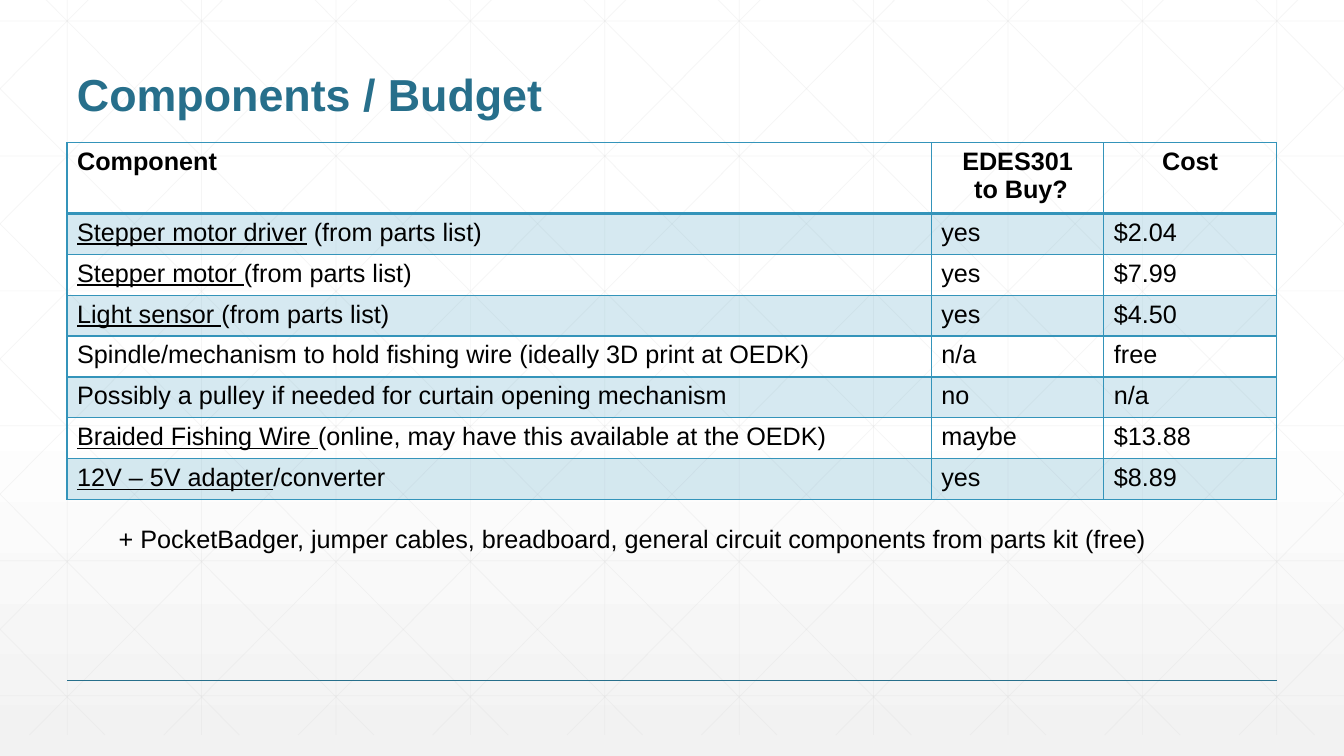
import dataclasses
import typing

import lxml.etree
import pptx
import pptx.dml.color
import pptx.enum.shapes
import pptx.enum.text
import pptx.oxml.ns
import pptx.util

Cm = pptx.util.Cm
Pt = pptx.util.Pt
qn = pptx.oxml.ns.qn
Point = tuple[float, float]


@dataclasses.dataclass(frozen=True)
class Theme:
    font: str = "Arial"
    title_size: float = 32
    body_size: float = 18
    title: str = "276F8B"
    accent: str = "3494BA"
    text: str = "000000"
    grid: str = "D9D9D9"
    background_top: str = "FFFFFF"
    background_bottom: str = "F2F2F2"
    grid_opacity: int = 25
    band_opacity: int = 20


@dataclasses.dataclass(frozen=True)
class Component:
    underlined: str
    plain: str
    to_buy: str
    cost: str


THEME = Theme()
WIDTH, HEIGHT = 33.87, 19.05
LEFT, CONTENT_WIDTH = 1.69, 30.48

GRID_COLUMNS = 10
GRID_STEP = WIDTH / GRID_COLUMNS
GRID_TOP, GRID_BOTTOM = -0.53, 18.52
FIRST_ROW, ROW_STEP, GRID_ROWS = 0.53, 3.4, 6
DIAGONAL_START, DIAGONAL_DRIFT = 0.64, 18.94

HEADERS = ("Component", "EDES301\n to Buy?", "Cost")
COLUMN_WIDTHS = (21.78, 4.35, 4.35)
HEADER_HEIGHT, ROW_HEIGHT = 1.69, 1.03
COMPONENTS = (
    Component("Stepper motor driver", " (from parts list)", "yes", "$2.04"),
    Component("Stepper motor ", "(from parts list)", "yes", "$7.99"),
    Component("Light sensor ", "(from parts list)", "yes", "$4.50"),
    Component("", "Spindle/mechanism to hold fishing wire (ideally 3D print at OEDK)", "n/a", "free"),
    Component("", "Possibly a pulley if needed for curtain opening mechanism", "no", "n/a"),
    Component("Braided Fishing Wire ", "(online, may have this available at the OEDK)", "maybe", "$13.88"),
    Component("12V – 5V adapter", "/converter", "yes", "$8.89"),
)
NOTE = "+ PocketBadger, jumper cables, breadboard, general circuit components from parts kit (free)"


def rgb(color: str) -> pptx.dml.color.RGBColor:
    return pptx.dml.color.RGBColor.from_string(color)


def set_opacity(properties: typing.Any, percent: int) -> None:
    """Make every RGB colour below an XML element partly transparent."""
    for color in properties.iter(qn("a:srgbClr")):
        lxml.etree.SubElement(color, qn("a:alpha"), val=str(percent * 1000))


def format_text(frame: typing.Any, size: float, color: str, bold: bool = False) -> None:
    for paragraph in frame.paragraphs:
        for run in paragraph.runs:
            run.font.name = THEME.font
            run.font.size = Pt(size)
            run.font.bold = bold
            run.font.color.rgb = rgb(color)


def draw_background(slide: typing.Any) -> None:
    fill = slide.background.fill
    fill.gradient()
    fill.gradient_angle = 270
    stops = ((0.53, THEME.background_top), (1.0, THEME.background_bottom))
    for stop, (position, color) in zip(fill.gradient_stops, stops):
        stop.position = position
        stop.color.rgb = rgb(color)


def draw_line(slide: typing.Any, start: Point, end: Point, color: str, width: float,
              opacity: int = 100) -> None:
    line = slide.shapes.add_connector(
        pptx.enum.shapes.MSO_CONNECTOR.STRAIGHT, *(Cm(value) for value in start + end))
    line.line.color.rgb = rgb(color)
    line.line.width = Pt(width)
    properties = line._element.spPr
    if opacity < 100:
        set_opacity(properties, opacity)
    lxml.etree.SubElement(properties, qn("a:effectLst"))


def grid_lines() -> typing.Iterator[tuple[Point, Point]]:
    """Yield verticals, horizontals, then mirrored diagonals cut at the slide's sides."""
    for column in range(GRID_COLUMNS):
        x = (column + 0.5) * GRID_STEP
        yield (x, GRID_TOP), (x, GRID_BOTTOM)
    for row in range(GRID_ROWS):
        y = FIRST_ROW + row * ROW_STEP
        yield (0, y), (WIDTH, y)
    slope = (GRID_BOTTOM - GRID_TOP) / DIAGONAL_DRIFT
    for index in range(-GRID_COLUMNS // 2, GRID_COLUMNS):
        top_x = DIAGONAL_START + index * GRID_STEP
        start_x = max(top_x, 0)
        end_x = min(top_x + DIAGONAL_DRIFT, WIDTH)
        start_y = GRID_TOP + (start_x - top_x) * slope
        end_y = GRID_TOP + (end_x - top_x) * slope
        yield (start_x, start_y), (end_x, end_y)
        yield (WIDTH - start_x, start_y), (WIDTH - end_x, end_y)


def add_text(slide: typing.Any, text: str, left: float, top: float, width: float,
             height: float, wrap: bool) -> typing.Any:
    frame = slide.shapes.add_textbox(Cm(left), Cm(top), Cm(width), Cm(height)).text_frame
    frame.word_wrap = wrap
    frame.text = text
    return frame


def draw_title(slide: typing.Any) -> None:
    title = add_text(slide, "Components / Budget", LEFT, 0.64, CONTENT_WIDTH, 2.54, True)
    title.vertical_anchor = pptx.enum.text.MSO_ANCHOR.BOTTOM
    title.paragraphs[0].line_spacing = 0.9
    format_text(title, THEME.title_size, THEME.title, bold=True)


def style_cell(cell: typing.Any, row: int) -> None:
    """Band odd rows and frame the cell, with a thicker rule below the header."""
    properties = cell._tc.get_or_add_tcPr()
    if row % 2:
        cell.fill.solid()
        cell.fill.fore_color.rgb = rgb(THEME.accent)
        set_opacity(properties, THEME.band_opacity)
    else:
        cell.fill.background()
    widths = {"lnL": 1, "lnR": 1, "lnT": 2 if row == 1 else 1, "lnB": 2 if row == 0 else 1}
    for position, (side, width) in enumerate(widths.items()):
        border = lxml.etree.Element(qn(f"a:{side}"), w=str(Pt(width)))
        fill = lxml.etree.SubElement(border, qn("a:solidFill"))
        lxml.etree.SubElement(fill, qn("a:srgbClr"), val=THEME.accent)
        properties.insert(position, border)


def draw_budget(slide: typing.Any) -> None:
    heights = [HEADER_HEIGHT] + [ROW_HEIGHT] * len(COMPONENTS)
    budget = slide.shapes.add_table(
        len(heights), len(HEADERS), Cm(LEFT), Cm(3.6), Cm(CONTENT_WIDTH), Cm(sum(heights))).table
    budget.first_row = False
    budget.horz_banding = False
    for column, width in zip(budget.columns, COLUMN_WIDTHS):
        column.width = Cm(width)
    for row, height in zip(budget.rows, heights):
        row.height = Cm(height)

    rows = [HEADERS] + [(item.underlined, item.to_buy, item.cost) for item in COMPONENTS]
    for row, texts in enumerate(rows):
        for column, text in enumerate(texts):
            cell = budget.cell(row, column)
            cell.text_frame.text = text
            if row and column == 0:
                name = cell.text_frame.paragraphs[0]
                for run in name.runs:
                    run.font.underline = True
                name.add_run().text = COMPONENTS[row - 1].plain
            if row == 0 and column:
                for paragraph in cell.text_frame.paragraphs:
                    paragraph.alignment = pptx.enum.text.PP_ALIGN.CENTER
            format_text(cell.text_frame, THEME.body_size, THEME.text, bold=row == 0)
            style_cell(cell, row)


def main() -> None:
    presentation = pptx.Presentation()
    presentation.slide_width, presentation.slide_height = Cm(WIDTH), Cm(HEIGHT)
    slide = presentation.slides.add_slide(presentation.slide_layouts[6])
    draw_background(slide)
    for start, end in grid_lines():
        draw_line(slide, start, end, THEME.grid, 0.5, THEME.grid_opacity)
    draw_line(slide, (LEFT, 17.15), (LEFT + CONTENT_WIDTH, 17.15), THEME.title, 1)
    draw_title(slide)
    draw_budget(slide)
    note = add_text(slide, NOTE, 2.74, 13.06, 26.39, 1.03, False)
    format_text(note, THEME.body_size, THEME.text)
    presentation.save("out.pptx")


if __name__ == "__main__":
    main()
